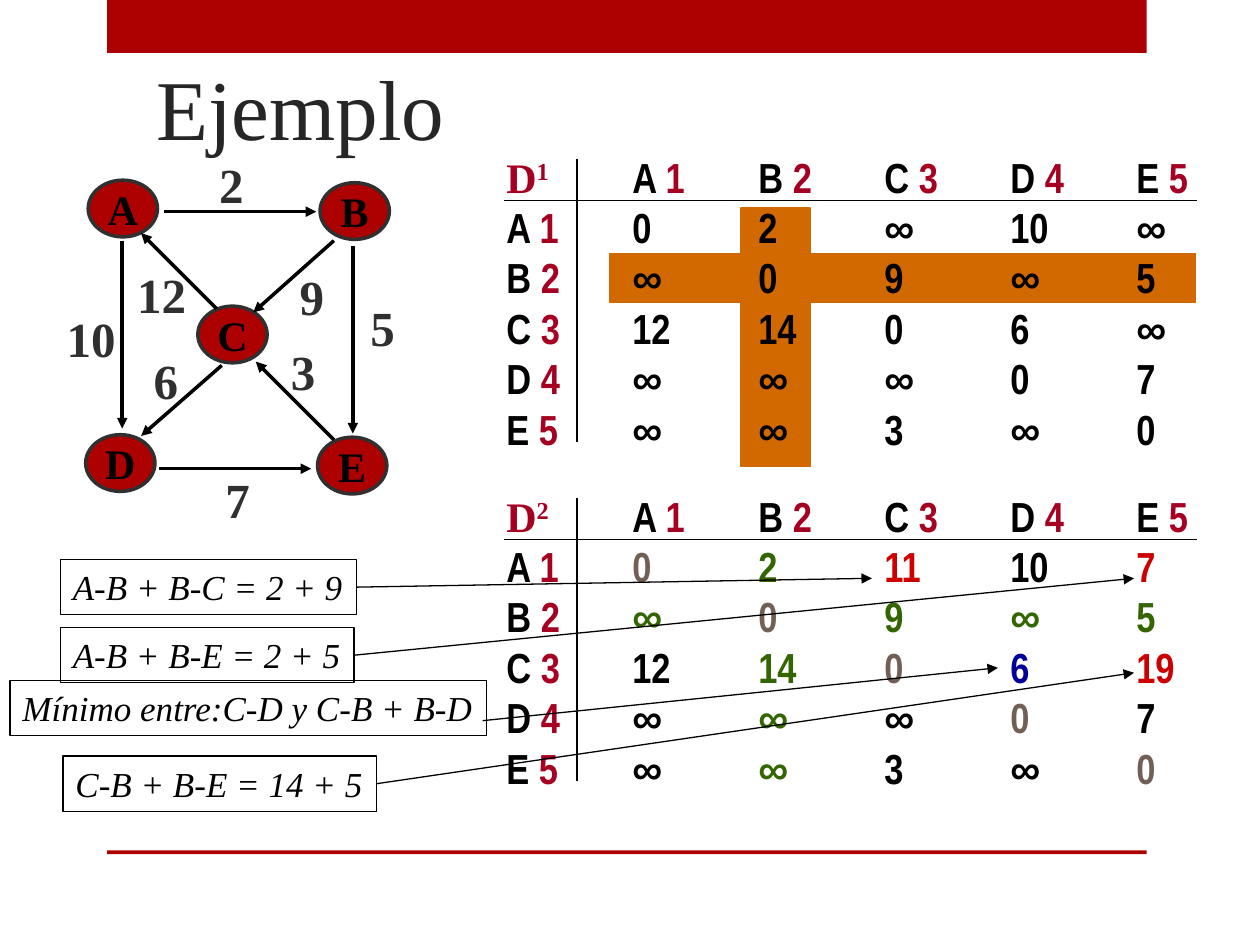
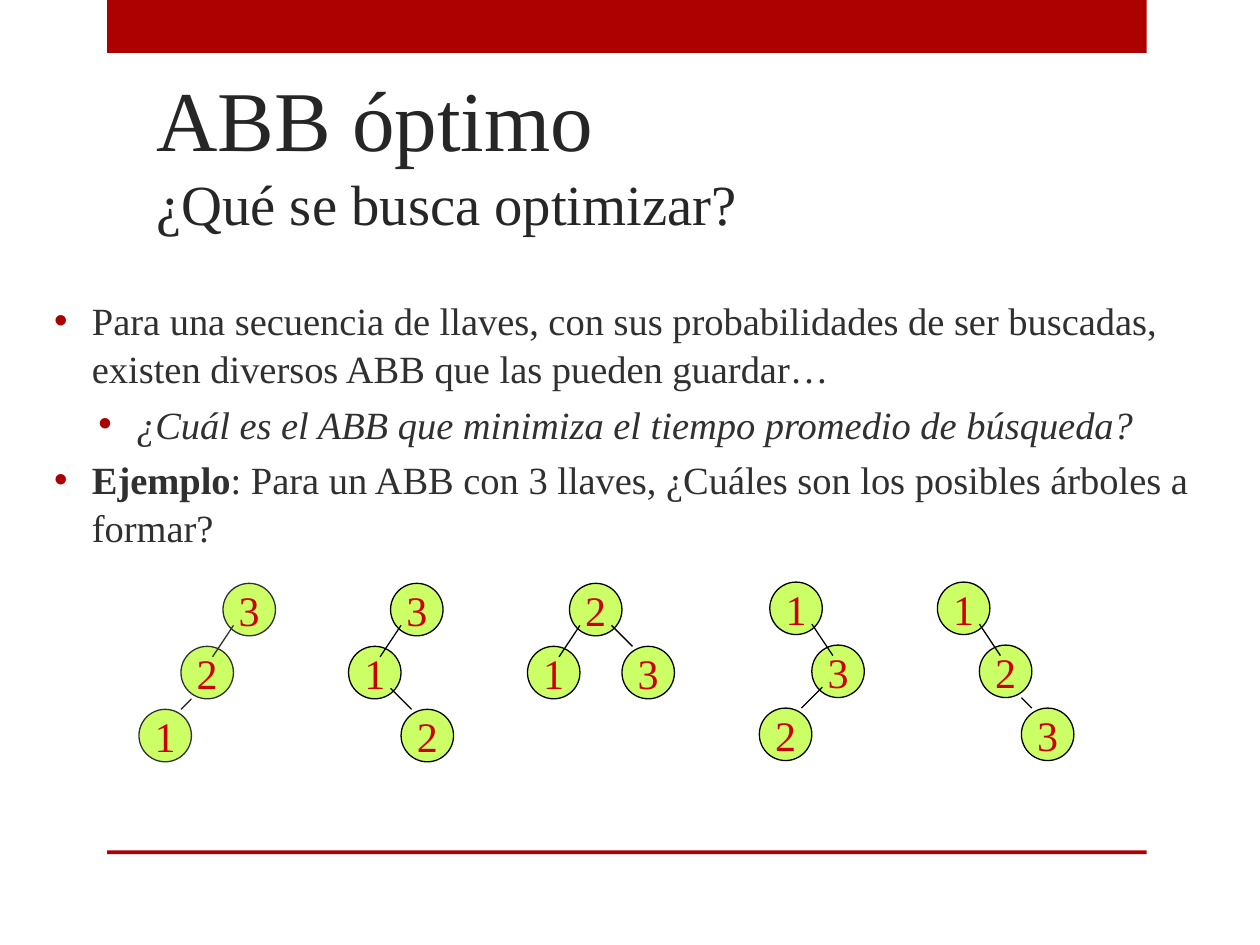
"""Build two slides: an all-pairs shortest path step and the optimal search tree question."""
from lxml.etree import SubElement
from pptx import Presentation
from pptx.dml.color import RGBColor
from pptx.enum.shapes import MSO_CONNECTOR, MSO_SHAPE
from pptx.enum.text import MSO_ANCHOR, MSO_AUTO_SIZE, PP_ALIGN
from pptx.oxml.ns import qn
from pptx.util import Inches, Pt

RED = RGBColor(0xAD, 0x01, 0x01)
ORANGE = RGBColor(0xD2, 0x69, 0x00)
CRIMSON = RGBColor(0xA5, 0x00, 0x21)
SCARLET = RGBColor(0xCC, 0x00, 0x00)
GREEN = RGBColor(0x33, 0x66, 0x00)
LIME = RGBColor(0xCC, 0xFF, 0x66)
BLUE = RGBColor(0x00, 0x00, 0x99)
TAUPE = RGBColor(0x72, 0x60, 0x56)
BLACK = RGBColor(0, 0, 0)
CHARCOAL = RGBColor(0x30, 0x30, 0x30)
TITLE_INK = RGBColor(0x26, 0x26, 0x26)

SERIF, NARROW = "Times New Roman", "Arial Narrow"
TITLE = {"name": SERIF, "size": Pt(48.6), "color": TITLE_INK}
SUBTITLE = {**TITLE, "size": Pt(32.4)}
BODY = {"name": SERIF, "size": Pt(22), "color": CHARCOAL}
CELL = {"name": NARROW, "size": Pt(24), "bold": True}
MATRIX_NAME = {**CELL, "name": SERIF, "color": CRIMSON}
VERTEX = {"name": SERIF, "size": Pt(24), "bold": True, "color": BLACK}
WEIGHT = {"name": SERIF, "size": Pt(28), "bold": True, "color": CHARCOAL}
NOTE = {"name": SERIF, "size": Pt(20), "italic": True, "color": BLACK}
KEY = {"name": SERIF, "size": Pt(24), "color": SCARLET}

BANDS = [(0.85, 0, 8.25, 0.42), (0.85, 6.75, 8.25, 0.03)]

VERTICES = "ABCDE"
BEFORE = [
    ["0", "2", "∞", "10", "∞"],
    ["∞", "0", "9", "∞", "5"],
    ["12", "14", "0", "6", "∞"],
    ["∞", "∞", "∞", "0", "7"],
    ["∞", "∞", "3", "∞", "0"],
]
AFTER = [
    ["0", "2", "11", "10", "7"],
    ["∞", "0", "9", "∞", "5"],
    ["12", "14", "0", "6", "19"],
    ["∞", "∞", "∞", "0", "7"],
    ["∞", "∞", "3", "∞", "0"],
]
PIVOT = VERTICES.index("B")
COMPARED = {(0, 2): SCARLET, (0, 4): SCARLET, (2, 3): BLUE, (2, 4): SCARLET}
MATRIX_LEFT, ROW, COLUMN = 3.92, 0.4, 1
PIVOT_BANDS = [(4.84, 2.01, 4.65, 0.39), (5.88, 1.65, 0.55, 2.05)]

NOTES = [
    ("A-B + B-C = 2 + 9", (0.48, 4.44, 2.35), None, (6.92, 4.59)),
    ("A-B + B-E = 2 + 5", (0.48, 4.98, 2.33), None, (9, 4.59)),
    ("Mínimo entre:C-D y C-B + B-D", (0.08, 5.4, 3.78), (3.83, 5.72), (7.92, 5.3)),
    ("C-B + B-E = 14 + 5", (0.5, 6, 2.49), None, (9, 5.34)),
]
GRAPH_VERTICES = {
    "A": (0.7, 1.43), "B": (2.54, 1.45), "C": (1.57, 2.43),
    "D": (0.68, 3.45), "E": (2.52, 3.47),
}
GRAPH_EDGES = [
    ("2", (1.64, 1.18), (1.3, 1.68), (2.51, 1.68)),
    ("7", (1.69, 3.68), (1.26, 3.72), (2.47, 3.72)),
    ("5", (2.84, 2.31), (2.8, 1.95), (2.8, 3.44)),
    ("10", (0.43, 2.4), (0.97, 1.91), (0.97, 3.4)),
    ("6", (1.12, 2.73), (1.76, 2.9), (1.12, 3.46)),
    ("9", (2.28, 2.07), (2.65, 1.91), (2.01, 2.48)),
    ("12", (0.99, 2.05), (1.72, 2.45), (1.12, 1.85)),
    ("3", (2.21, 2.66), (2.65, 3.49), (2.03, 2.87)),
]

BULLETS = [
    (0, [("Para una secuencia de llaves, con sus probabilidades de ser buscadas, "
          "existen diversos ABB que las pueden guardar…", {})]),
    (1, [("¿Cuál es el ABB que minimiza el tiempo promedio de búsqueda?", {"italic": True})]),
    (0, [("Ejemplo", {"bold": True}),
         (": Para un ABB con 3 llaves, ¿Cuáles son los posibles árboles a formar?", {})]),
]
BULLET_INDENTS = (0.3, 0.65)

TREE_UNIT = 1 / 12
NODE_UNITS, LEVEL_UNITS = 5, 6
BRANCHES = {
    "first": (-4, (1, 4), (-1, 7)),
    "onward": (-4, (1, 5), (0, 6)),
    "opposite": (5, (4, 4), (6, 6)),
}
TREES = [
    (1.77, 4.63, False, CHARCOAL, "3", [(0, "first", "2"), (1, "onward", "1")]),
    (3.1, 4.63, False, BLACK, "3", [(0, "first", "1"), (1, "opposite", "2")]),
    (4.52, 4.63, False, BLACK, "2", [(0, "first", "1"), (0, "opposite", "3")]),
    (7.44, 4.62, True, BLACK, "1", [(0, "first", "2"), (1, "onward", "3")]),
    (6.11, 4.62, True, BLACK, "1", [(0, "first", "3"), (1, "opposite", "2")]),
]


def format_font(font, values):
    for name, value in values.items():
        if name == "color":
            font.color.rgb = value
        else:
            setattr(font, name, value)


def add_run(paragraph, text, values):
    run = paragraph.add_run()
    run.text = text
    format_font(run.font, values)
    return run


def place(shape, box):
    for side, length in zip(("left", "top", "width", "height"), box):
        setattr(shape, side, Inches(length))


def add_figure(slide, kind, box, fill=None, line=None, width=0.75):
    figure = slide.shapes.add_shape(kind, *map(Inches, box))
    figure.shadow.inherit = False
    if fill is None:
        figure.fill.background()
    else:
        figure.fill.solid()
        figure.fill.fore_color.rgb = fill
    if line is None:
        figure.line.fill.background()
    else:
        figure.line.color.rgb = line
        figure.line.width = Pt(width)
    return figure


def write(shape, text, values, align=PP_ALIGN.LEFT, anchor=MSO_ANCHOR.TOP):
    frame = shape.text_frame
    frame.word_wrap = False
    frame.vertical_anchor = anchor
    frame.paragraphs[0].alignment = align
    add_run(frame.paragraphs[0], text, values)


def add_node(slide, box, text, values, fill, line, width=0.75):
    node = add_figure(slide, MSO_SHAPE.OVAL, box, fill, line, width)
    write(node, text, values, PP_ALIGN.CENTER, MSO_ANCHOR.MIDDLE)


def add_line(slide, start, end, color=BLACK, width=0.75, arrow=False):
    line = slide.shapes.add_connector(MSO_CONNECTOR.STRAIGHT, *map(Inches, (*start, *end)))
    line.line.color.rgb = color
    line.line.width = Pt(width)
    properties = line.element.spPr
    if arrow:
        SubElement(properties.find(qn("a:ln")), qn("a:tailEnd"), type="triangle")
    SubElement(properties, qn("a:effectLst"))
    return line


def add_master_bands(slide, master):
    for number, box in enumerate(BANDS):
        band = add_figure(slide, MSO_SHAPE.RECTANGLE, box, RED).element
        band.nvSpPr.cNvPr.set("id", str(100 + number))
        master.shapes.element.insert(2 + number, band)


def add_title(slide, box, heading, subtitle=None):
    title = slide.shapes.title
    place(title, box)
    frame = title.text_frame
    frame.auto_size = MSO_AUTO_SIZE.NONE
    frame.vertical_anchor = MSO_ANCHOR.BOTTOM
    paragraph = frame.paragraphs[0]
    paragraph.alignment = PP_ALIGN.LEFT
    add_run(paragraph, heading, TITLE)
    if subtitle:
        paragraph.add_line_break()
        add_run(paragraph, subtitle, SUBTITLE)


def cell_color(row, column):
    if row == column:
        return TAUPE
    if PIVOT in (row, column):
        return GREEN
    return COMPARED.get((row, column), BLACK)


def add_matrix(slide, top, step, distances, colored):
    size = len(VERTICES)
    box = (MATRIX_LEFT, top, 5.61, (size + 1) * ROW + 0.1)
    frame = slide.shapes.add_textbox(*map(Inches, box)).text_frame
    frame.word_wrap = True
    frame.margin_right = 0
    rows = [frame.paragraphs[0]] + [frame.add_paragraph() for _ in VERTICES]
    for paragraph in rows:
        stops = SubElement(paragraph._p.get_or_add_pPr(), qn("a:tabLst"))
        for column in range(1, size + 1):
            SubElement(stops, qn("a:tab"), pos=str(Inches(column * COLUMN)), algn="l")

    header = rows[0]
    add_run(header, "D", MATRIX_NAME)
    power = add_run(header, step, MATRIX_NAME)
    power._r.get_or_add_rPr().set("baseline", "30000")
    for row, (vertex, values) in enumerate(zip(VERTICES, distances)):
        for paragraph, lead in ((header, "\t"), (rows[row + 1], "")):
            add_run(paragraph, f"{lead}{vertex} ", {**CELL, "color": BLACK})
            add_run(paragraph, str(row + 1), {**CELL, "color": CRIMSON})
        for column, value in enumerate(values):
            color = cell_color(row, column) if colored else BLACK
            add_run(rows[row + 1], f"\t{value}", {**CELL, "color": color})

    add_line(slide, (4, top + 0.44), (9.5, top + 0.44))
    add_line(slide, (4.58, top + 2.36), (4.58, top + 0.11))


def add_notes_with_arrows(slide):
    for text, (left, top, width), start, target in NOTES:
        note = add_figure(slide, MSO_SHAPE.RECTANGLE, (left, top, width, 0.44), line=BLACK)
        write(note, text, NOTE)
        arrow = add_line(slide, start or (left + width, top + 0.22), target, arrow=True)
        if start is None:
            arrow.begin_connect(note, 3)


def add_graph(slide):
    for vertex, corner in GRAPH_VERTICES.items():
        add_node(slide, (*corner, 0.55, 0.45), vertex, VERTEX, RED, CHARCOAL, 2)
    for weight, corner, start, end in GRAPH_EDGES:
        add_line(slide, start, end, width=2, arrow=True)
        label_width = 0.19 + 0.2 * len(weight)
        label = slide.shapes.add_textbox(*map(Inches, (*corner, label_width, 0.56)))
        write(label, weight, WEIGHT)


def add_bullets(slide):
    body = slide.placeholders[1]
    place(body, (0.33, 2.17, 9.25, 2.37))
    frame = body.text_frame
    frame.auto_size = MSO_AUTO_SIZE.NONE
    frame.vertical_anchor = MSO_ANCHOR.MIDDLE
    for number, (level, runs) in enumerate(BULLETS):
        paragraph = frame.add_paragraph() if number else frame.paragraphs[0]
        paragraph.level = level
        paragraph.line_spacing = 1.04
        paragraph.space_before = Pt(4.5 if number else 0)
        properties = paragraph._p.get_or_add_pPr()
        properties.set("marL", str(Inches(BULLET_INDENTS[level])))
        properties.set("indent", str(Inches(-0.3)))
        SubElement(SubElement(properties, qn("a:buClr")), qn("a:srgbClr"), val=str(RED))
        SubElement(properties, qn("a:buChar"), char="•")
        for text, emphasis in runs:
            add_run(paragraph, text, {**BODY, **emphasis})


def add_tree(slide, left, top, mirrored, color, root, children):
    nodes, edges = [(0, 0, root)], []
    for parent, branch, key in children:
        x, y, _ = nodes[parent]
        shift, *ends = BRANCHES[branch]
        nodes.append((x - shift if mirrored else x + shift, y + LEVEL_UNITS, key))
        edges.append([(x + (NODE_UNITS - dx if mirrored else dx), y + dy) for dx, dy in ends])

    def spot(x, y):
        return left + x * TREE_UNIT, top + y * TREE_UNIT

    diameter = NODE_UNITS * TREE_UNIT
    for x, y, key in nodes:
        add_node(slide, (*spot(x, y), diameter, diameter), key, KEY, LIME, color)
    for start, end in edges:
        add_line(slide, spot(*start), spot(*end), color)


def main():
    deck = Presentation()
    deck.slide_width, deck.slide_height = Inches(10), Inches(7.5)

    example = deck.slides.add_slide(deck.slide_layouts[5])
    add_master_bands(example, deck.slide_master)
    for box in PIVOT_BANDS:
        add_figure(example, MSO_SHAPE.RECTANGLE, box, ORANGE, ORANGE)
    add_title(example, (1.14, 0.49, 7.68, 0.81), "Ejemplo")
    add_matrix(example, 1.15, "1", BEFORE, colored=False)
    add_matrix(example, 3.84, "2", AFTER, colored=True)
    add_notes_with_arrows(example)
    add_graph(example)

    optimal = deck.slides.add_slide(deck.slide_layouts[1])
    add_title(optimal, (1.14, 0.68, 7.68, 1.25), "ABB óptimo", "¿Qué se busca optimizar?")
    add_bullets(optimal)
    for tree in TREES:
        add_tree(optimal, *tree)

    deck.save("out.pptx")


if __name__ == "__main__":
    main()
